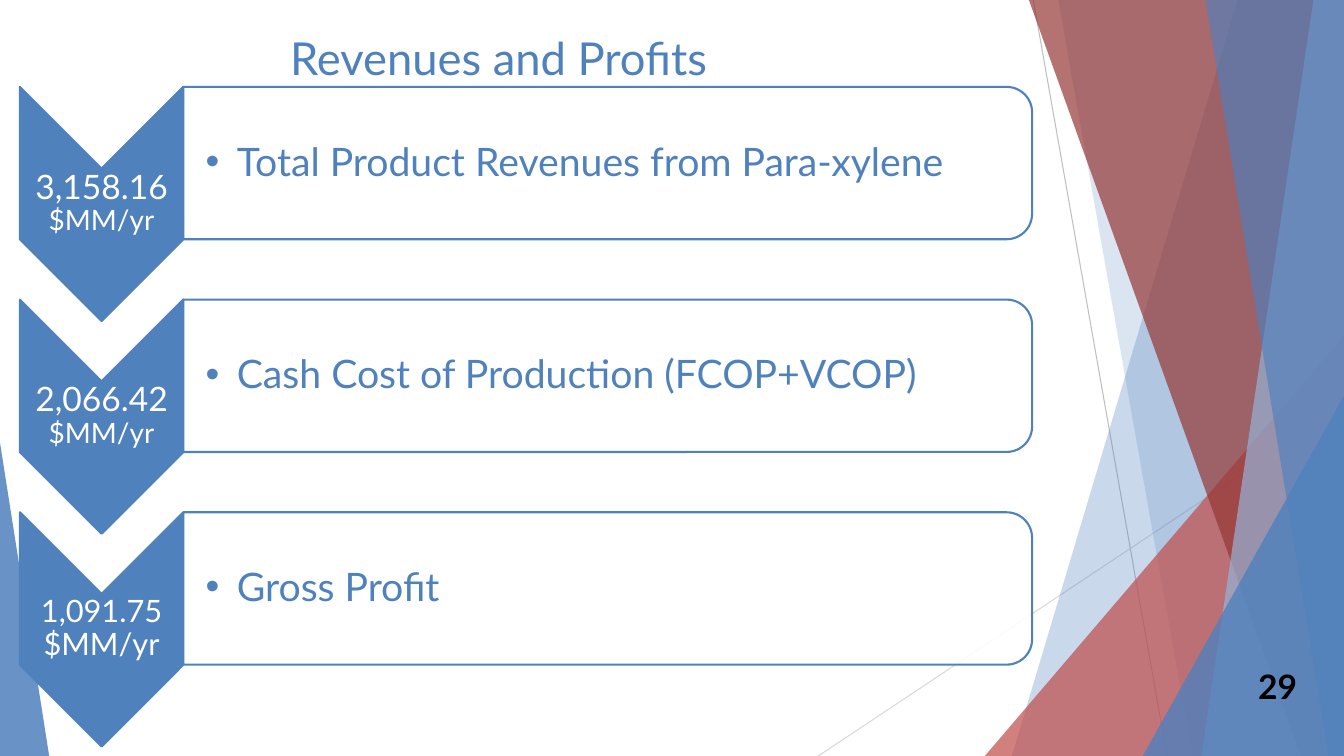
import lxml.etree
import pptx
import pptx.dml.color
import pptx.enum.shapes
import pptx.enum.text
import pptx.oxml.ns
import pptx.util

Cm = pptx.util.Cm
Pt = pptx.util.Pt
SHAPE = pptx.enum.shapes.MSO_SHAPE
ALIGN = pptx.enum.text.PP_ALIGN
ANCHOR = pptx.enum.text.MSO_ANCHOR
WIDTH, HEIGHT = 33.87, 19.05
COLORS = {
    "blue": "4F81BD", "pale blue": "95B3D7", "red": "C0504D", "dark red": "953735",
    "white": "FFFFFF", "black": "000000", "gray": "BFBFBF", "light gray": "D9D9D9",
}


class SlideBuilder:
    """Draws styled elements on the current slide, with lengths in centimetres."""

    font = "Lato"
    outline = 1.5

    def __init__(self, slide):
        self.slide = slide

    def color(self, name):
        return pptx.dml.color.RGBColor.from_string(COLORS[name])

    def add_element(self, parent, tag, **attributes):
        return lxml.etree.SubElement(parent, pptx.oxml.ns.qn(tag), **attributes)

    def paint(self, shape, fill, opacity=100, line=None):
        shape.shadow.inherit = False
        shape.fill.solid()
        shape.fill.fore_color.rgb = self.color(fill)
        if opacity < 100:
            color_node = shape.fill._xPr.find(".//" + pptx.oxml.ns.qn("a:srgbClr"))
            self.add_element(color_node, "a:alpha", val=str(opacity * 1000))
        if line:
            shape.line.color.rgb = self.color(line)
            shape.line.width = Pt(self.outline)
        else:
            shape.line.fill.background()

    def line(self, start, end, color):
        connector = self.slide.shapes.add_connector(
            pptx.enum.shapes.MSO_CONNECTOR.STRAIGHT, *map(Cm, start + end))
        connector.line.color.rgb = self.color(color)
        connector.line.width = Pt(0.75)
        self.add_element(connector._element.spPr, "a:effectLst")

    def facet(self, top_x, bottom_x, color, opacity):
        builder = self.slide.shapes.build_freeform(Cm(top_x), Cm(0))
        corners = [(WIDTH, 0), (WIDTH, HEIGHT), (bottom_x, HEIGHT)]
        builder.add_line_segments([(Cm(x), Cm(y)) for x, y in corners])
        self.paint(builder.convert_to_shape(), color, opacity)

    def triangle(self, left, top, width, apex, color, opacity):
        shape = self.slide.shapes.add_shape(
            SHAPE.ISOSCELES_TRIANGLE, Cm(left), Cm(top), Cm(width), Cm(HEIGHT - top))
        shape.adjustments[0] = apex
        self.paint(shape, color, opacity)

    def turned_shape(self, kind, left, top, width, height, fill, opacity=100):
        shift = (width - height) / 2
        shape = self.slide.shapes.add_shape(
            kind, Cm(left + shift), Cm(top - shift), Cm(height), Cm(width))
        shape.rotation = 90
        self.paint(shape, fill, opacity, "blue")

    def text(self, place, pieces, color, align=ALIGN.LEFT, anchor=ANCHOR.MIDDLE,
             margins=(0.25, 0.13, 0.25, 0.13), spacing=1.0, bullet=False, bold=False):
        box = self.slide.shapes.add_textbox(*map(Cm, place))
        frame = box.text_frame
        frame.word_wrap = True
        frame.vertical_anchor = anchor
        (frame.margin_left, frame.margin_top,
         frame.margin_right, frame.margin_bottom) = map(Cm, margins)
        para = frame.paragraphs[0]
        para.alignment = align
        para.line_spacing = spacing
        if bullet:
            properties = para._p.get_or_add_pPr()
            properties.set("marL", str(Cm(0.79)))
            properties.set("indent", str(-Cm(0.79)))
            self.add_element(properties, "a:buFont", typeface="Arial")
            self.add_element(properties, "a:buChar", char="•")
        for words, size in pieces:
            span = para.add_run()
            span.text = words
            span.font.name = self.font
            span.font.size = Pt(size)
            span.font.bold = bold
            span.font.color.rgb = self.color(color)

    def backdrop(self):
        self.line((26.04, 0), (29.41, HEIGHT), "gray")
        self.line((WIDTH, 10.24), (20.62, HEIGHT), "light gray")
        self.facet(31.19, 25.5, "blue", 30)
        self.facet(26.67, 30.05, "blue", 20)
        self.triangle(24.82, 8.46, 9.05, 1, "red", 72)
        self.facet(25.93, 32.79, "dark red", 70)
        self.facet(33.1, 30.28, "pale blue", 70)
        self.facet(30.38, 33.48, "blue", 65)
        self.triangle(28.8, 9.98, 5.07, 1, "blue", 80)
        self.triangle(0, 11.15, 1.24, 0, "blue", 85)

    def amount_row(self, top, amount, label):
        self.turned_shape(SHAPE.CHEVRON, 0.5, top, 4.12, 5.9, "blue")
        self.text((0.5, top + 2.06, 4.12, 1.75), amount, "white", ALIGN.CENTER,
                  margins=(0.05,) * 4, spacing=0.9)
        self.turned_shape(SHAPE.ROUND_2_SAME_RECTANGLE, 4.62, top, 21.39, 3.84, "white", 90)
        self.text((4.62, top + 0.2, 21.18, 3.45), [(label, 28)], "blue",
                  margins=(0.56, 0.05, 0.05, 0.05), spacing=0.9, bullet=True)


def main():
    deck = pptx.Presentation()
    deck.slide_width, deck.slide_height = Cm(WIDTH), Cm(HEIGHT)
    page = SlideBuilder(deck.slides.add_slide(deck.slide_layouts[6]))
    page.backdrop()
    page.text((7.06, 0.64, 14.48, 1.63), [("Revenues and Profits", 32.4)], "blue",
              anchor=ANCHOR.TOP)
    page.text((31.04, 16.79, 1.9, 1.02), [("29", 24)], "black", ALIGN.RIGHT, bold=True)
    rows = [
        ([("3,158.16 ", 24), ("$MM/yr", 20)], "Total Product Revenues from Para-xylene"),
        ([("2,066.42 ", 24), ("$MM/yr", 20)], "Cash Cost of Production (FCOP+VCOP)"),
        ([("1,091.75 $MM/yr", 22)], "Gross Profit"),
    ]
    for index, (amount, label) in enumerate(rows):
        page.amount_row(2.19 + index * 5.36, amount, label)
    deck.save("out.pptx")


if __name__ == "__main__":
    main()
